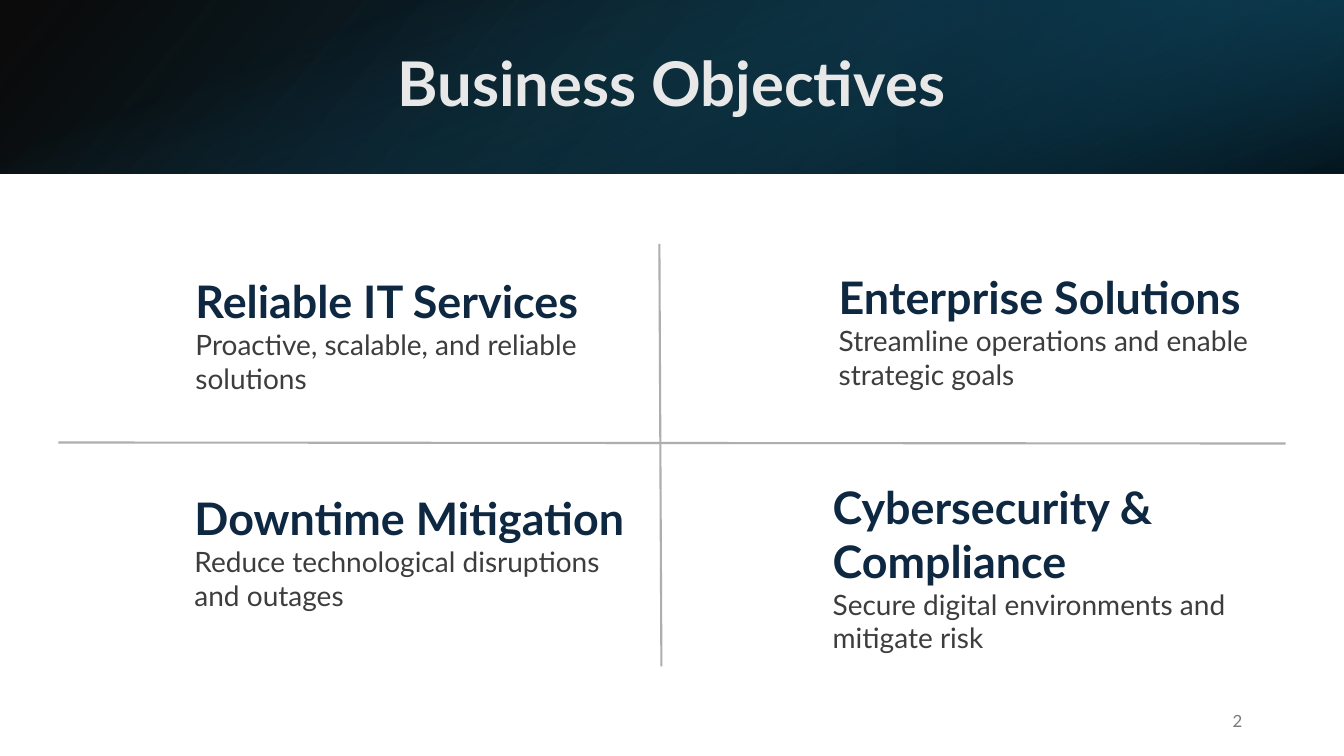
import lxml.etree
import pptx
import pptx.dml.color
import pptx.enum.shapes
import pptx.enum.text
import pptx.oxml
import pptx.oxml.ns
import pptx.util

Inches = pptx.util.Inches
PP_ALIGN = pptx.enum.text.PP_ALIGN
ANCHOR = pptx.enum.text.MSO_ANCHOR
AUTO_SIZE = pptx.enum.text.MSO_AUTO_SIZE
qn = pptx.oxml.ns.qn

WIDTH, HEIGHT, BANNER = 13.33, 7.5, 1.72
TITLE = {"size": pptx.util.Pt(44), "bold": True}
HEADING = {"size": pptx.util.Pt(32), "bold": True}
DETAIL = {"size": pptx.util.Pt(20), "bold": False}
NUMBER = {"size": pptx.util.Pt(12), "bold": False}

GRADIENTS = [
    ((0, 0, WIDTH, BANNER), 0, True, 140,
     [(0, "000000", 96), (100, "104862", 100)]),
    ((8.89, 0, 4.44, BANNER), 180, True, 320,
     [(19, "0B3041", 68), (100, "156082", 79)]),
    (((WIDTH - BANNER) / 2, (BANNER - WIDTH) / 2, BANNER, WIDTH), 90, False, 340,
     [(23, "156082", 0), (99, "000000", 74)]),
]
DIVIDERS = [(6.54, 2.42, 6.56, 6.61), (0.58, 4.39, 12.75, 4.4)]
OBJECTIVES = [
    (1.84, 2.67, 1.31, "Reliable IT Services",
     "Proactive, scalable, and reliable solutions"),
    (8.22, 2.63, 1.31, "Enterprise Solutions",
     "Streamline operations and enable strategic goals"),
    (1.83, 4.82, 1.31, "Downtime Mitigation",
     "Reduce technological disruptions and outages"),
    (8.16, 4.71, 1.85, "Cybersecurity &\vCompliance",
     "Secure digital environments and mitigate risk"),
]


def rgb(value):
    return pptx.dml.color.RGBColor.from_string(value)


def set_attributes(target, values):
    for name, value in values.items():
        setattr(target, name, value)


def write(p, text, style, color, align=PP_ALIGN.LEFT):
    p.text = text
    p.alignment = align
    for r in p.runs:
        set_attributes(r.font, {"name": "Lato", **style})
        r.font.color.rgb = rgb(color)


def add_gradient(s, box, rotation, flipped, angle, stops):
    sp = s.shapes.add_shape(pptx.enum.shapes.MSO_SHAPE.RECTANGLE, *map(Inches, box))
    sp.shadow.inherit = False
    sp.rotation = rotation
    sp.line.fill.background()
    if flipped:
        sp._element.spPr.find(qn("a:xfrm")).set("flipH", "1")
    items = "".join(
        f'<a:gs pos="{pos * 1000}"><a:srgbClr val="{color}">'
        f'<a:alpha val="{alpha * 1000}"/></a:srgbClr></a:gs>'
        for pos, color, alpha in stops)
    fill = pptx.oxml.parse_xml(
        f'<a:gradFill {pptx.oxml.ns.nsdecls("a")} rotWithShape="1">'
        f'<a:gsLst>{items}</a:gsLst>'
        f'<a:lin ang="{angle * 60000}" scaled="0"/></a:gradFill>')
    sp._element.spPr.find(qn("a:prstGeom")).addnext(fill)


def add_title(s, text):
    sp = s.shapes.title
    set_attributes(sp, {"left": Inches(1.17), "top": Inches(0.38),
                        "width": Inches(10.98), "height": Inches(0.96)})
    sp.text_frame.vertical_anchor = ANCHOR.MIDDLE
    p = sp.text_frame.paragraphs[0]
    write(p, text, TITLE, "E8E8E8", PP_ALIGN.CENTER)
    p.line_spacing = 0.9
    s.shapes._spTree.append(sp._element)


def add_divider(s, ends):
    line = s.shapes.add_connector(
        pptx.enum.shapes.MSO_CONNECTOR.STRAIGHT, *map(Inches, ends))
    line.line.color.rgb = rgb("AEAEAE")
    line.line.width = pptx.util.Pt(1.5)
    lxml.etree.SubElement(line._element.spPr, qn("a:effectLst"))


def add_text_frame(s, box, **values):
    tf = s.shapes.add_textbox(*map(Inches, box)).text_frame
    set_attributes(tf, {"word_wrap": True, **values})
    return tf


def add_objective(s, left, top, height, heading, detail):
    tf = add_text_frame(s, (left, top, 4.59, height),
                        auto_size=AUTO_SIZE.SHAPE_TO_FIT_TEXT)
    write(tf.paragraphs[0], heading, HEADING, "0E2841")
    write(tf.add_paragraph(), detail, DETAIL, "3D3D3D")


def add_slide_number(s, number):
    tf = add_text_frame(s, (9.42, 6.95, 3, 0.4), vertical_anchor=ANCHOR.MIDDLE)
    write(tf.paragraphs[0], number, NUMBER, "797979", PP_ALIGN.RIGHT)


def main():
    prs = pptx.Presentation()
    prs.slide_width, prs.slide_height = Inches(WIDTH), Inches(HEIGHT)
    s = prs.slides.add_slide(prs.slide_layouts[5])
    for gradient in GRADIENTS:
        add_gradient(s, *gradient)
    add_title(s, "Business Objectives")
    add_slide_number(s, "2")
    for ends in DIVIDERS:
        add_divider(s, ends)
    for objective in OBJECTIVES:
        add_objective(s, *objective)
    prs.save("out.pptx")


if __name__ == "__main__":
    main()
